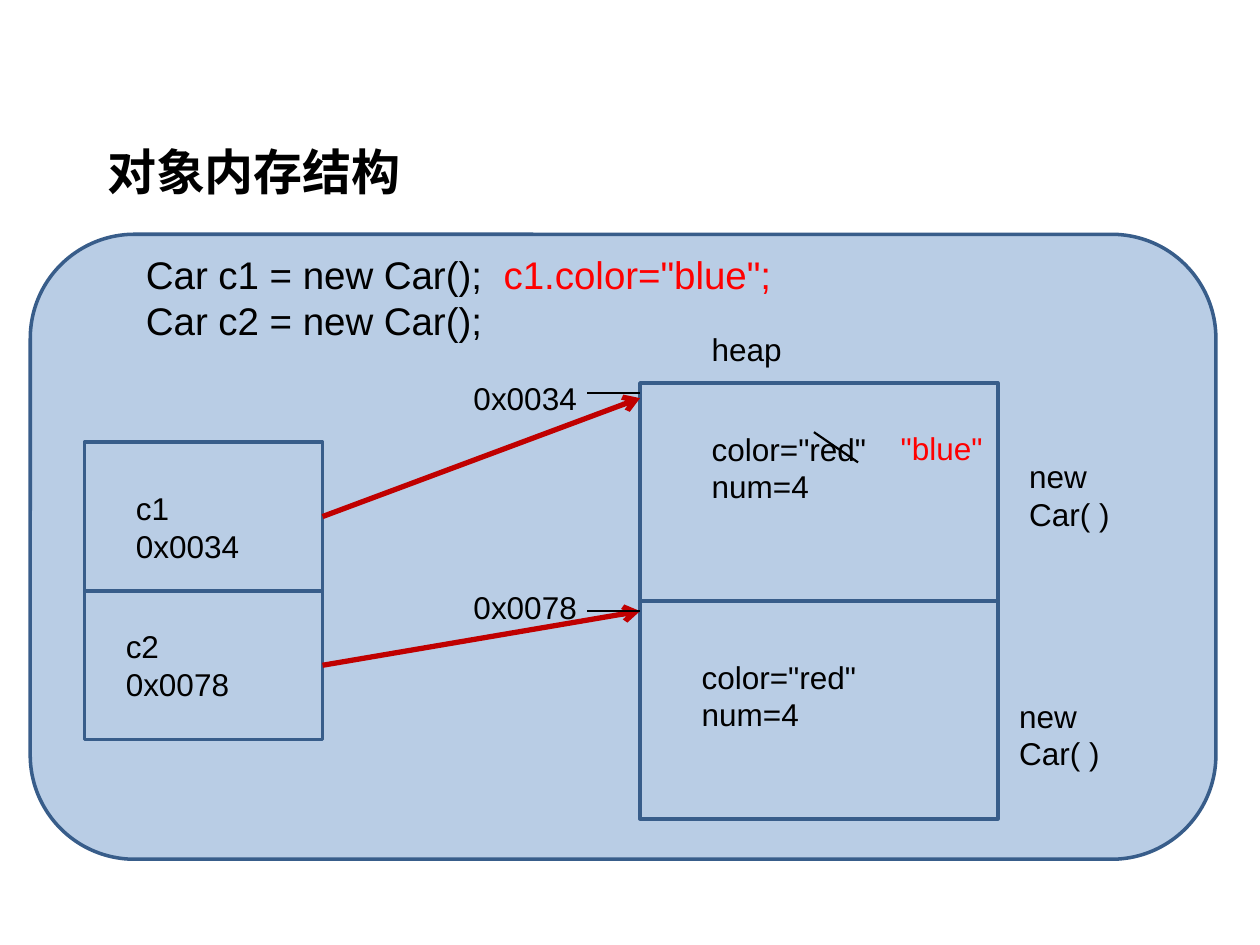
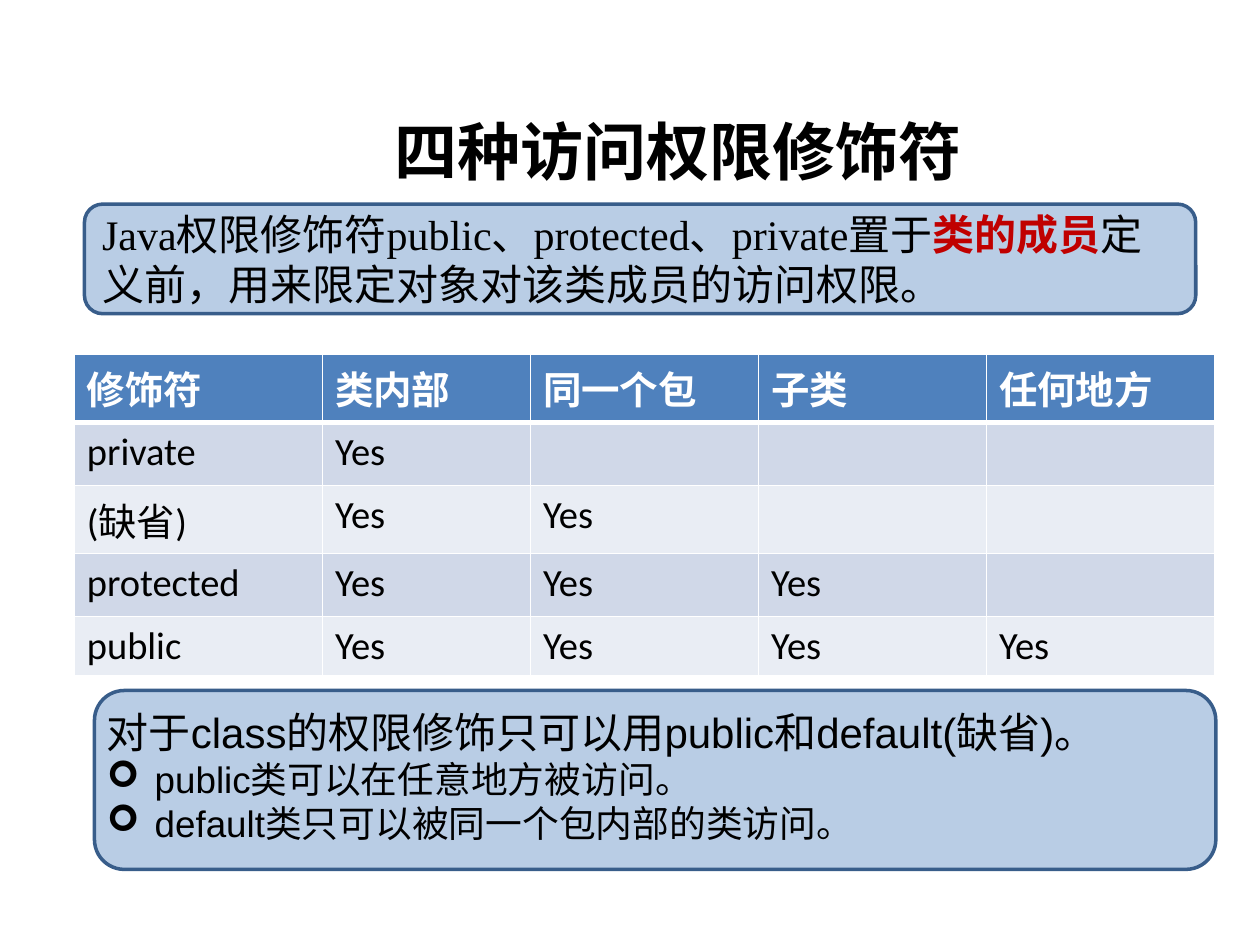
from lxml import etree
from pptx import Presentation
from pptx.dml.color import RGBColor
from pptx.enum.shapes import MSO_CONNECTOR, MSO_SHAPE
from pptx.enum.text import MSO_ANCHOR, MSO_AUTO_SIZE, PP_ALIGN
from pptx.oxml.ns import qn
from pptx.util import Inches, Pt

BLACK = RGBColor(0x00, 0x00, 0x00)
WHITE = RGBColor(0xFF, 0xFF, 0xFF)
RED = RGBColor(0xFF, 0x00, 0x00)
DARK_RED = RGBColor(0xC0, 0x00, 0x00)
PANEL = RGBColor(0xB9, 0xCD, 0xE5)
OUTLINE = RGBColor(0x38, 0x5D, 0x8A)
HEADER = RGBColor(0x4F, 0x81, 0xBD)
BANDS = (RGBColor(0xD0, 0xD8, 0xE8), RGBColor(0xE9, 0xED, 0xF4))

FONT = "Arial"
CJK_FONT = "Noto Sans CJK SC"
RECT = MSO_SHAPE.RECTANGLE
ROUND = MSO_SHAPE.ROUNDED_RECTANGLE
STRAIGHT = MSO_CONNECTOR.STRAIGHT
TOP, MIDDLE = MSO_ANCHOR.TOP, MSO_ANCHOR.MIDDLE
LEFT = PP_ALIGN.LEFT
TITLE_ONLY = 5


def inches(*values):
    return [Inches(v) for v in values]


def add_run(p, text, size=18, color=BLACK, bold=False, font=FONT):
    r = p.add_run()
    r.text = text
    r.font.size = Pt(size)
    r.font.bold = bold
    r.font.color.rgb = color
    r.font.name = font
    etree.SubElement(r._r.get_or_add_rPr(), qn("a:ea"), typeface=CJK_FONT)


def write(tf, paragraphs, anchor=TOP, **fmt):
    """Each paragraph is a string or a list of (text, format changes) pairs."""
    tf.word_wrap = True
    tf.auto_size = MSO_AUTO_SIZE.NONE
    tf.vertical_anchor = anchor
    for i, runs in enumerate(paragraphs):
        p = tf.paragraphs[0] if i == 0 else tf.add_paragraph()
        p.alignment = LEFT
        for text, changes in [(runs, {})] if isinstance(runs, str) else runs:
            add_run(p, text, **{**fmt, **changes})


def add_text(s, box, *paragraphs, **fmt):
    tf = s.shapes.add_textbox(*inches(*box)).text_frame
    write(tf, paragraphs, **fmt)
    return tf


def add_slide(prs, title, box, size):
    s = prs.slides.add_slide(prs.slide_layouts[TITLE_ONLY])
    sp = s.shapes.title
    sp.left, sp.top, sp.width, sp.height = inches(*box)
    write(sp.text_frame, [title], size=size, bold=True)
    return s


def add_panel(s, box, kind=ROUND):
    sp = s.shapes.add_shape(kind, *inches(*box))
    sp.shadow.inherit = False
    sp.fill.solid()
    sp.fill.fore_color.rgb = PANEL
    sp.line.color.rgb = OUTLINE
    sp.line.width = Pt(2)
    return sp


def add_line(s, start, end, color=BLACK, width=0.75, arrow=False):
    c = s.shapes.add_connector(STRAIGHT, *inches(*start, *end))
    c.line.color.rgb = color
    c.line.width = Pt(width)
    if arrow:
        etree.SubElement(c.line._get_or_add_ln(), qn("a:tailEnd"), type="arrow")
    etree.SubElement(c._element.spPr, qn("a:effectLst"))


def add_bullet(p, char="➢", indent=0.38):
    pPr = p._p.get_or_add_pPr()
    pPr.set("marL", str(Inches(indent)))
    pPr.set("indent", str(-Inches(indent)))
    etree.SubElement(pPr, qn("a:buFont"), typeface="Wingdings")
    etree.SubElement(pPr, qn("a:buChar"), char=char)


def set_borders(cell, **widths):
    """Draw white borders; the keys are the sides L, R, T and B, in that order."""
    for side, width in widths.items():
        ln = etree.SubElement(cell._tc.get_or_add_tcPr(), qn(f"a:ln{side}"),
                              w=str(Pt(width)))
        fill = etree.SubElement(ln, qn("a:solidFill"))
        etree.SubElement(fill, qn("a:srgbClr"), val=str(WHITE))


def add_table(s, left, top, col_widths, row_heights, rows):
    frame = s.shapes.add_table(len(rows), len(col_widths), *inches(
        left, top, sum(col_widths), sum(row_heights)))
    table = frame.table
    for col, width in zip(table.columns, col_widths):
        col.width = Inches(width)
    for i, (row, height, texts) in enumerate(zip(table.rows, row_heights, rows)):
        row.height = Inches(height)
        for cell, text in zip(row.cells, texts):
            set_borders(cell, L=1, R=1, T=3 if i == 1 else 1, B=3 if i == 0 else 1)
            cell.fill.solid()
            cell.fill.fore_color.rgb = BANDS[(i - 1) % 2] if i else HEADER
            if text:
                add_run(cell.text_frame.paragraphs[0], text, size=22, bold=i == 0,
                        color=BLACK if i else WHITE,
                        font="Calibri" if i else CJK_FONT)


def memory_slide(prs):
    s = add_slide(prs, "对象内存结构", (0.75, 1.07, 3.7, 0.57), 28)
    add_panel(s, (0.24, 1.86, 9.41, 4.96))
    add_text(s, (1.06, 1.94, 5.75, 0.83),
             [("Car c1 = new Car();  ", {}), ('c1.color="blue";', {"color": RED})],
             "Car c2 = new Car();", size=22)

    stack_x, stack_y, stack_w, stack_h = 0.67, 3.51, 1.89, 1.18
    heap_x, heap_y, heap_w, heap_h = 5.08, 3.04, 2.84, 1.73
    for i in range(2):
        add_panel(s, (stack_x, stack_y + i * stack_h, stack_w, stack_h), RECT)
        add_panel(s, (heap_x, heap_y + i * heap_h, heap_w, heap_h), RECT)
    add_text(s, (5.55, 2.57, 1.89, 0.4), "heap")

    # name, address, variable position, address y, tick y, arrow end y,
    # field position, constructor position
    cars = [
        ("c1", "0x0034", (0.98, 3.83), 2.96, 3.12, 3.16, (5.55, 3.36), (8.07, 3.58)),
        ("c2", "0x0078", (0.9, 4.93), 4.62, 4.85, 4.85, (5.47, 5.17), (7.99, 5.48)),
    ]
    for i, (name, address, var, label_y, tick_y, end_y, fields, new) in enumerate(cars):
        start_y = stack_y + (i + 0.5) * stack_h
        add_line(s, (stack_x + stack_w, start_y), (heap_x, end_y),
                 color=DARK_RED, width=3, arrow=True)
        add_line(s, (4.66, tick_y), (heap_x, tick_y))
        add_text(s, (*var, 1.26, 0.71), name, address)
        add_text(s, (3.66, label_y, 1.1, 0.4), address)
        add_text(s, (*fields, 2.05, 0.71), 'color="red"', "num=4")
        add_text(s, (*new, 1.3, 0.4), "new Car( )")

    add_text(s, (7.05, 3.36, 0.94, 0.4), '"blue"', color=RED)
    add_line(s, (6.46, 3.43), (6.81, 3.67), width=1.25)


def access_slide(prs):
    s = add_slide(prs, "四种访问权限修饰符", (3.03, 0.84, 4.96, 0.71), 36)
    intro = add_panel(s, (0.67, 1.62, 8.82, 0.87))
    write(intro.text_frame, [[
        ("Java权限修饰符public、protected、private置于", {}),
        ("类的成员", {"color": DARK_RED, "bold": True}),
        ("定义前，用来限定对象对该类成员的访问权限。", {}),
    ]], anchor=MIDDLE, size=24, font="Times New Roman")

    modifiers = ["private", "(缺省)", "protected", "public"]
    rows = [["修饰符", "类内部", "同一个包", "子类", "任何地方"]]
    for i, name in enumerate(modifiers, 1):
        rows.append([name] + ["Yes"] * i + [""] * (4 - i))
    add_table(s, 0.59, 2.81, [1.97, 1.65, 1.81, 1.81, 1.81],
              [0.47, 0.5, 0.5, 0.5, 0.47], rows)

    add_panel(s, (0.75, 5.48, 8.9, 1.42))
    tf = add_text(s, (0.75, 5.56, 8.9, 1.25),
                  [("对于class的权限修饰只可以用public和default(缺省)。", {"size": 24})],
                  "public类可以在任意地方被访问。",
                  "default类只可以被同一个包内部的类访问。", size=21)
    for p in tf.paragraphs[1:]:
        add_bullet(p)


def main():
    prs = Presentation()
    prs.slide_width, prs.slide_height = inches(10, 7.5)
    memory_slide(prs)
    access_slide(prs)
    prs.save("out.pptx")


if __name__ == "__main__":
    main()
